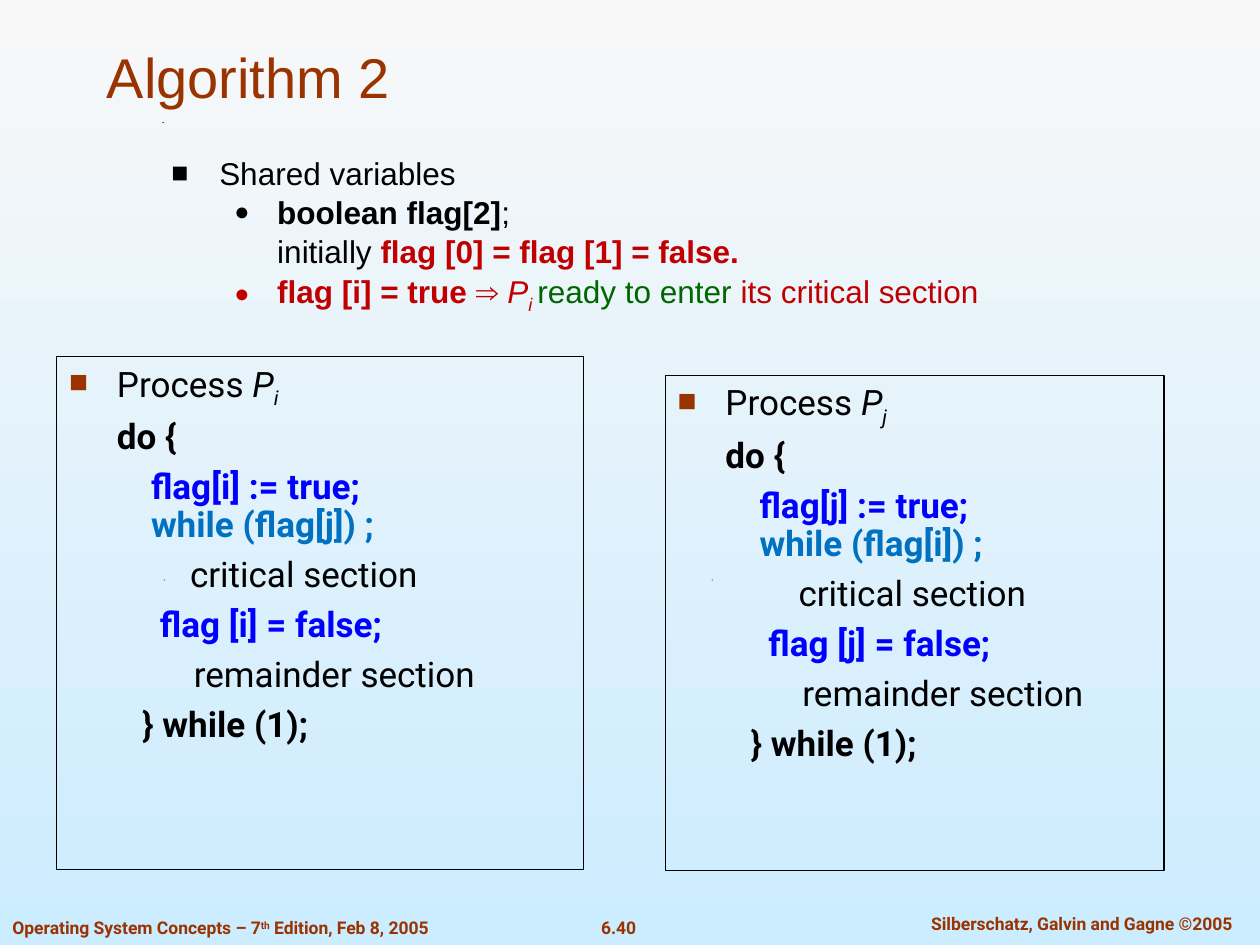
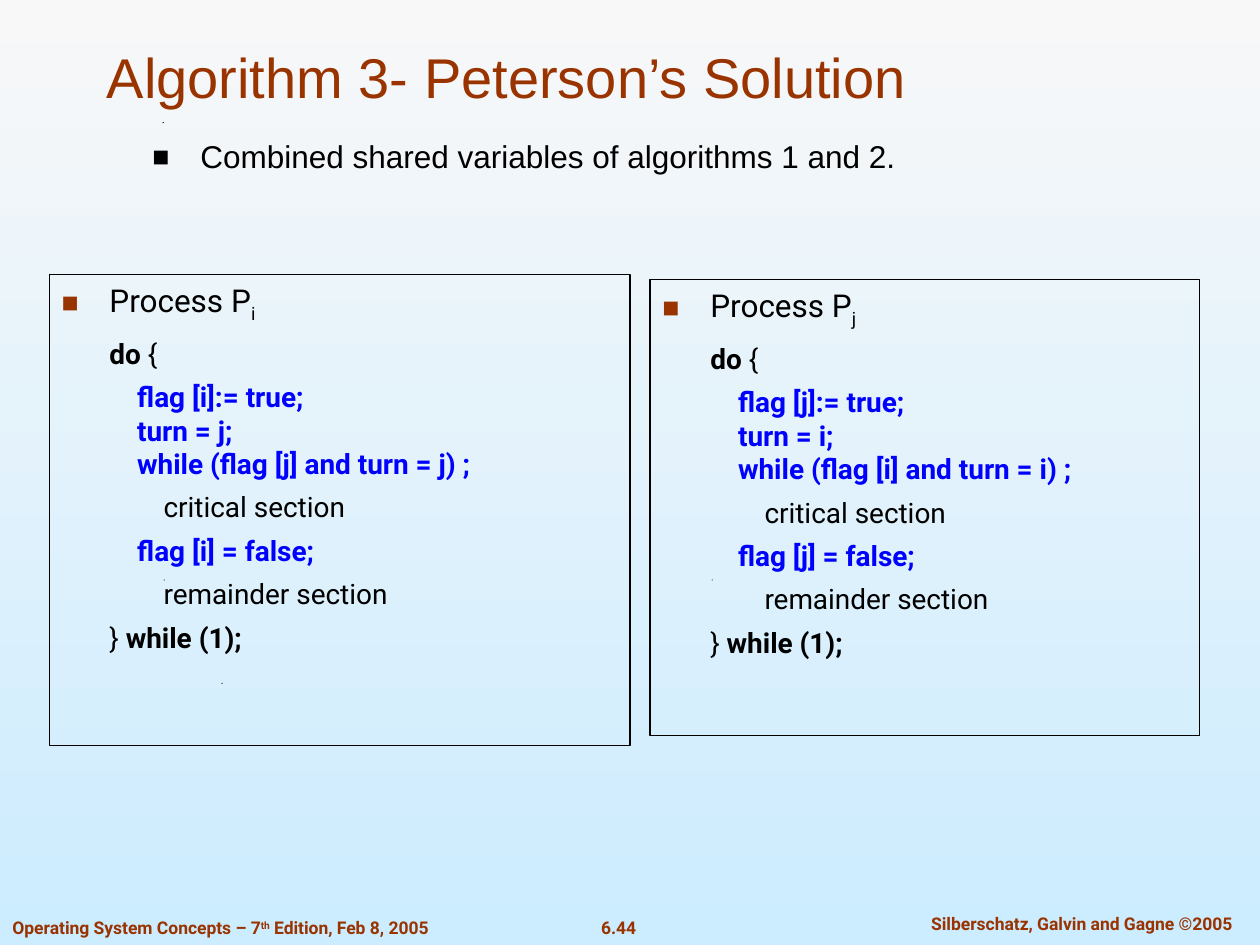
from lxml import etree
from pptx import Presentation
from pptx.dml.color import RGBColor
from pptx.enum.shapes import MSO_SHAPE
from pptx.enum.text import MSO_ANCHOR, PP_ALIGN
from pptx.oxml.ns import qn
from pptx.util import Inches, Pt

RECTANGLE = MSO_SHAPE.RECTANGLE
TOP, BOTTOM = MSO_ANCHOR.TOP, MSO_ANCHOR.BOTTOM
LEFT, CENTER = PP_ALIGN.LEFT, PP_ALIGN.CENTER

RUST = RGBColor(0x99, 0x33, 0x00)
BLACK = RGBColor(0x00, 0x00, 0x00)
RED = RGBColor(0xC0, 0x00, 0x00)
GREEN = RGBColor(0x00, 0x66, 0x00)
BLUE = RGBColor(0x00, 0x00, 0xFF)
SKY = RGBColor(0x00, 0x70, 0xC0)
BG_TOP = RGBColor(0xF8, 0xF8, 0xF8)
BG_BOTTOM = RGBColor(0xCC, 0xEC, 0xFF)

HEADING_FONT, CODE_FONT = "Arial", "Roboto"
BASELINES = {"sub": "-25000", "sup": "30000"}
SPECKS = [(1.76, 5.42), (1.3, 4.6), (5.65, 4.6), (1.29, 0.97)]
HANG = 0.38  # hanging indent of a square bullet


def add_runs(paragraph, runs, font, size):
    """Each run is (text, colour, styles); a newline is a line break."""
    for text, color, *styles in runs:
        for number, line in enumerate(text.split("\n")):
            if number:
                paragraph.add_line_break()
            if not line:
                continue
            run = paragraph.add_run()
            run.text = line
            run.font.name, run.font.size = font, Pt(size)
            run.font.color.rgb = color
            run.font.bold = "bold" in styles
            run.font.italic = "italic" in styles
            for style in styles:
                if style in BASELINES:
                    run.font._element.set("baseline", BASELINES[style])


def set_indent(paragraph, margin, hang=0.0, bullet=None, color=BLACK, percent=90):
    props = paragraph._p.get_or_add_pPr()
    props.set("marL", str(Inches(margin)))
    props.set("indent", str(Inches(-hang)))
    if bullet is None:
        etree.SubElement(props, qn("a:buNone"))
        return
    bullet_color = etree.SubElement(props, qn("a:buClr"))
    etree.SubElement(bullet_color, qn("a:srgbClr"), val=str(color))
    etree.SubElement(props, qn("a:buSzPct"), val=str(percent * 1000))
    etree.SubElement(props, qn("a:buFont"), typeface="Arial")
    etree.SubElement(props, qn("a:buChar"), char=bullet)


def next_paragraph(frame, index):
    return frame.add_paragraph() if index else frame.paragraphs[0]


def add_label(slide, box, runs, font, size, align=LEFT, anchor=TOP, wrap=True):
    frame = slide.shapes.add_textbox(*map(Inches, box)).text_frame
    frame.word_wrap, frame.vertical_anchor = wrap, anchor
    frame.paragraphs[0].alignment = align
    add_runs(frame.paragraphs[0], runs, font, size)


def add_background(slide):
    fill = slide.background.fill
    fill.gradient()
    fill.gradient_angle = 270
    for stop, position, color in zip(fill.gradient_stops, (0, 1), (BG_TOP, BG_BOTTOM)):
        stop.position, stop.color.rgb = position, color
    # Tiny specks
    for x, y in SPECKS:
        outline = slide.shapes.build_freeform(Inches(x), Inches(y + 0.01))
        outline.add_line_segments([(Inches(x + 0.01), Inches(y)), (Inches(x), Inches(y))])
        speck = outline.convert_to_shape()
        speck.shadow.inherit = False
        speck.fill.solid()
        speck.fill.fore_color.rgb = BLACK
        speck.line.fill.background()


def add_footer(slide, page):
    edition = [("Operating System Concepts – 7", RUST, "bold"),
               ("th", RUST, "bold", "sup"),
               (" Edition, Feb 8, 2005", RUST, "bold")]
    authors = [("Silberschatz, Galvin and Gagne ©2005", RUST, "bold")]
    add_label(slide, (4.59, 7.23, 0.64, 0.27), [(page, RUST, "bold")],
              CODE_FONT, 10, CENTER, wrap=False)
    add_label(slide, (7.1, 7.2, 2.97, 0.27), authors, CODE_FONT, 10, CENTER)
    add_label(slide, (0, 7.23, 4.11, 0.27), edition, CODE_FONT, 10)


def start_slide(deck, title, page):
    slide = deck.slides.add_slide(deck.slide_layouts[6])
    add_background(slide)
    add_footer(slide, page)
    add_label(slide, (0.75, 0.25, 8.83, 0.67), [(title, RUST)],
              HEADING_FONT, 32, anchor=BOTTOM)
    return slide


def add_shared_variables(slide, box, items):
    """Items are (level, runs)."""
    frame = slide.shapes.add_textbox(*map(Inches, box)).text_frame
    frame.word_wrap = True
    frame.margin_left = Inches(0.19)
    for index, (level, runs) in enumerate(items):
        paragraph = next_paragraph(frame, index)
        if level:
            set_indent(paragraph, 0.84, 0.34, "●", runs[0][1], 80)
        else:
            set_indent(paragraph, HANG, HANG, "■")
        paragraph.line_spacing = 1.04
        add_runs(paragraph, runs, HEADING_FONT, 18)


def add_process(slide, box, heading, code, sizes, line_spacing):
    """Heading is a list of runs; code lines are (indent, runs)."""
    panel = slide.shapes.add_shape(RECTANGLE, *map(Inches, box))
    panel.shadow.inherit = False
    panel.fill.background()
    panel.line.color.rgb, panel.line.width = BLACK, Pt(0.75)
    frame = panel.text_frame
    frame.word_wrap, frame.vertical_anchor = True, TOP
    heading_size, code_size = sizes
    for index, (indent, runs) in enumerate([(HANG, heading), *code]):
        paragraph = next_paragraph(frame, index)
        if index:
            set_indent(paragraph, indent)
            # The first code line keeps the heading's gap
            gap = heading_size + 2 if index == 1 else code_size
            paragraph.space_before = Pt(round(0.35 * gap, 1))
        else:
            set_indent(paragraph, HANG, HANG, "■", RUST)
        paragraph.alignment = LEFT
        paragraph.line_spacing = line_spacing
        add_runs(paragraph, runs, CODE_FONT, code_size if index else heading_size)


def algorithm_2(deck):
    slide = start_slide(deck, "Algorithm 2", "6.40")
    add_shared_variables(slide, (1.17, 1.16, 7.69, 1.56), [
        (0, [("Shared variables", BLACK)]),
        (1, [("boolean flag[2]", BLACK, "bold"), (";\ninitially ", BLACK),
             ("flag [0] = flag [1] = false.", RED, "bold")]),
        (1, [("flag [i] = true ", RED, "bold"), ("⇒ ", RED), ("P", RED, "italic"),
             ("i ", RED, "italic", "sub"), ("ready to enter ", GREEN),
             ("its critical section", RED)]),
    ])
    for box, own, other in [((0.45, 2.83, 4.18, 4.07), "i", "j"),
                            ((5.28, 2.98, 3.96, 3.93), "j", "i")]:
        heading = [("Process ", BLACK), ("P", BLACK, "italic"),
                   (own, BLACK, "italic", "sub")]
        code = [
            (HANG, [("do {", BLACK, "bold")]),
            (0.65, [(f"flag[{own}] := true;\n", BLUE, "bold"),
                    (f"while (flag[{other}]) ;", SKY, "bold")]),
            (0.96, [("critical section", BLACK)]),
            (0.72, [(f"flag [{own}] = false;", BLUE, "bold")]),
            (0.99, [("remainder section", BLACK)]),
            (0.58, [("} while (1);", BLACK, "bold")]),
        ]
        add_process(slide, box, heading, code, (20, 20), 0.9)


def algorithm_3(deck):
    slide = start_slide(deck, "Algorithm 3- Peterson’s Solution", "6.44")
    add_shared_variables(slide, (1.02, 1.03, 7.69, 0.51), [
        (0, [("Combined shared variables of algorithms 1 and 2.", BLACK)]),
    ])
    for box, own, other in [((0.39, 2.18, 4.61, 3.74), "i", "j"),
                            ((5.16, 2.22, 4.36, 3.62), "j", "i")]:
        heading = [("Process P", BLACK), (own, BLACK, "sub")]
        entry = (f"flag [{own}]:= true;\nturn = {other};\n"
                 f"while (flag [{other}] and turn = {other}) ;")
        code = [
            (HANG, [("do", BLACK, "bold"), (" {", BLACK)]),
            (0.6, [(entry, BLUE, "bold")]),
            (0.81, [("critical section", BLACK)]),
            (0.6, [(f"flag [{own}] = false;", BLUE, "bold")]),
            (0.81, [("remainder section", BLACK)]),
            (HANG, [("} ", BLACK), ("while (1);", BLACK, "bold")]),
        ]
        add_process(slide, box, heading, code, (18, 16), 1.0)


def main():
    deck = Presentation()
    deck.slide_width, deck.slide_height = Inches(10), Inches(7.5)
    algorithm_2(deck)
    algorithm_3(deck)
    deck.save("out.pptx")


if __name__ == "__main__":
    main()
